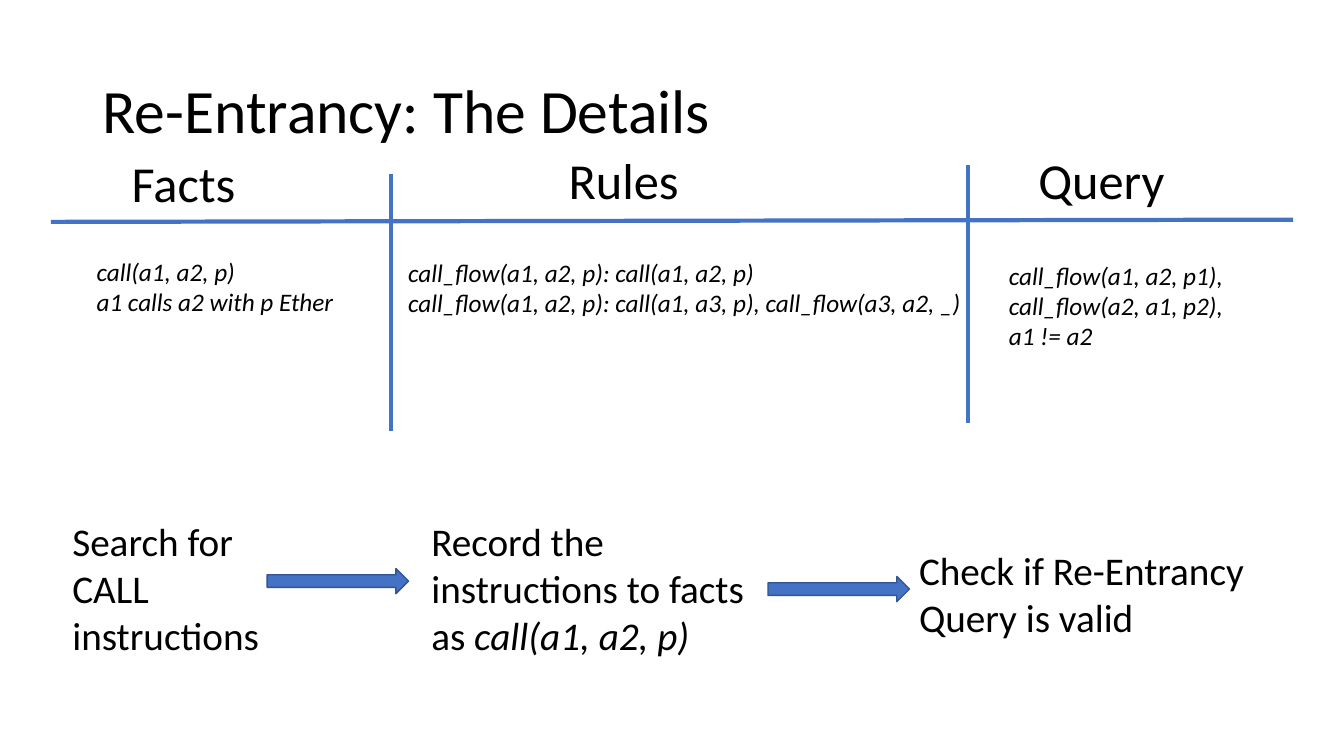
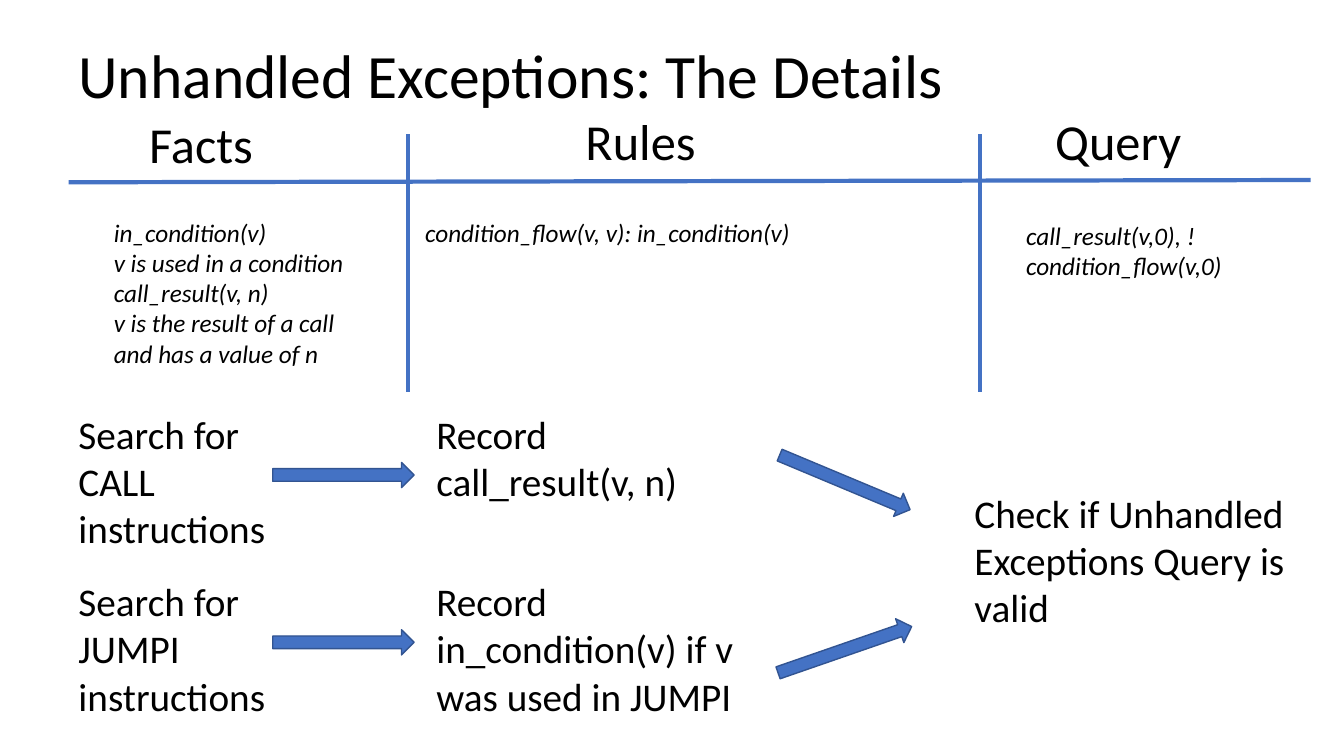
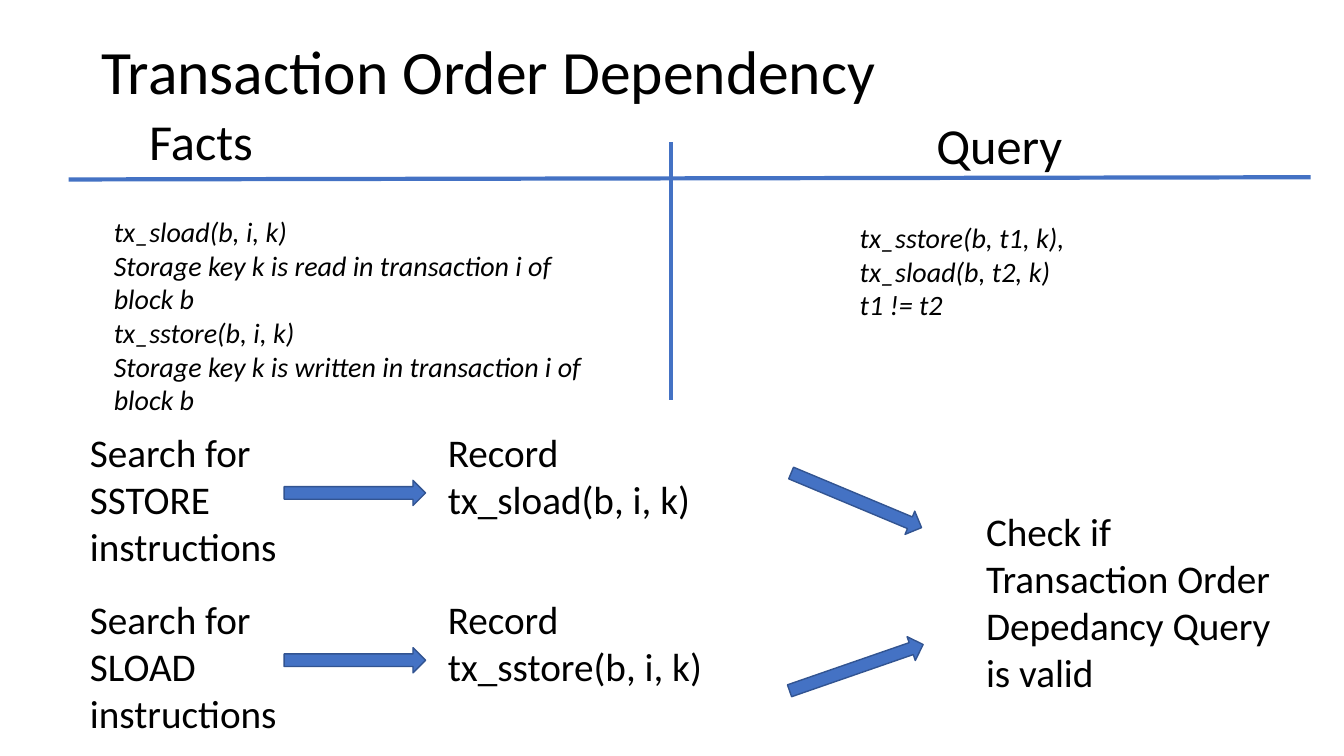
from dataclasses import dataclass

import pptx
import pptx.dml.color
import pptx.enum.shapes
import pptx.enum.text
import pptx.oxml.ns
import pptx.presentation
import pptx.slide
import pptx.text.text
import pptx.util
from lxml import etree

Pt = pptx.util.Pt
BLACK = pptx.dml.color.RGBColor(0x00, 0x00, 0x00)
BLUE = pptx.dml.color.RGBColor(0x44, 0x72, 0xC4)
DARK_BLUE = pptx.dml.color.RGBColor(0x32, 0x54, 0x91)

TEXT_FORMAT = {"name": "Calibri"}
TITLE_WIDTH, TITLE_HEIGHT = 828, 104.4
HEADING_WIDTH, HEADING_HEIGHT = 159, 51
RULE_WIDTH, RULE_RISE = 887.2, 1.6
DIVIDER_HEIGHT = 184
ARROW_WIDTH, ARROW_HEIGHT = 101, 18
STEP_SIZE = 28
SEARCH_WIDTH, RECORD_WIDTH = 184.3, 239
ROW_PITCH = 119.5


@dataclass(frozen=True)
class TextBlock:
    left: float
    top: float
    width: float
    height: float
    paragraphs: tuple[str, ...]
    size: float = STEP_SIZE
    italic: bool = False
    italic_tail: str = ""


@dataclass(frozen=True)
class Arrow:
    left: float
    top: float
    rotation: float = 0


@dataclass(frozen=True)
class Column:
    heading: str
    heading_left: float
    heading_top: float
    body: TextBlock


@dataclass(frozen=True)
class Line:
    left: float
    top: float
    right: float
    bottom: float


@dataclass(frozen=True)
class DetailSlide:
    title: str
    title_left: float
    title_top: float
    rule_left: float
    rule_top: float
    dividers: tuple[tuple[float, float], ...]
    columns: tuple[Column, ...]
    steps: tuple[TextBlock, ...]
    arrows: tuple[Arrow, ...]


def add_run(paragraph: pptx.text.text._Paragraph, text: str, size: float, italic: bool) -> None:
    run = paragraph.add_run()
    run.text = text
    for name, value in {**TEXT_FORMAT, "size": Pt(size), "italic": italic}.items():
        setattr(run.font, name, value)
    run.font.color.rgb = BLACK


def add_text(slide: pptx.slide.Slide, block: TextBlock) -> pptx.text.text.TextFrame:
    shape = slide.shapes.add_textbox(
        Pt(block.left), Pt(block.top), Pt(block.width), Pt(block.height)
    )
    frame = shape.text_frame
    frame.word_wrap = True
    for index, text in enumerate(block.paragraphs):
        paragraph = frame.add_paragraph() if index else frame.paragraphs[0]
        add_run(paragraph, text, block.size, block.italic)
    if block.italic_tail:
        add_run(frame.paragraphs[-1], block.italic_tail, block.size, True)
    return frame


def add_title(slide: pptx.slide.Slide, detail: DetailSlide) -> None:
    frame = add_text(slide, TextBlock(
        detail.title_left, detail.title_top, TITLE_WIDTH, TITLE_HEIGHT, (detail.title,), 44
    ))
    frame.vertical_anchor = pptx.enum.text.MSO_ANCHOR.MIDDLE
    frame.paragraphs[0].line_spacing = 0.9


def add_line(slide: pptx.slide.Slide, line: Line) -> None:
    connector = slide.shapes.add_connector(
        pptx.enum.shapes.MSO_CONNECTOR.STRAIGHT,
        Pt(line.left), Pt(line.top), Pt(line.right), Pt(line.bottom),
    )
    connector.line.color.rgb = BLUE
    connector.line.width = Pt(3)
    etree.SubElement(connector._element.spPr, pptx.oxml.ns.qn("a:effectLst"))


def add_arrow(slide: pptx.slide.Slide, arrow: Arrow) -> None:
    shape = slide.shapes.add_shape(
        pptx.enum.shapes.MSO_SHAPE.RIGHT_ARROW,
        Pt(arrow.left), Pt(arrow.top), Pt(ARROW_WIDTH), Pt(ARROW_HEIGHT),
    )
    shape.rotation = arrow.rotation
    shape.shadow.inherit = False
    shape.fill.solid()
    shape.fill.fore_color.rgb = BLUE
    shape.line.color.rgb = DARK_BLUE
    shape.line.width = Pt(1)


def merging_steps(
    left: float, top: float, searches: tuple[str, str],
    records: tuple[tuple[str, ...], tuple[str, ...]], check: str,
) -> tuple[TextBlock, ...]:
    steps = []
    for row, (search, record) in enumerate(zip(searches, records)):
        row_top = top + row * ROW_PITCH
        steps.append(TextBlock(left, row_top, SEARCH_WIDTH, 109, (search,)))
        steps.append(TextBlock(left + 255.6, row_top, RECORD_WIDTH, 109, record))
    steps.append(TextBlock(left + 640, top + 56.5, RECORD_WIDTH, 109, (check,)))
    return tuple(steps)


def merging_arrows(left: float, top: float) -> tuple[Arrow, ...]:
    arrows = []
    for row, rotation in enumerate((22.7, 340.9)):
        row_top = top + row * ROW_PITCH
        arrows.append(Arrow(left + 145.8, row_top + 40.7))
        arrows.append(Arrow(left + 504, row_top + 46, rotation))
    return tuple(arrows)


def add_detail_slide(
    presentation: pptx.presentation.Presentation, detail: DetailSlide
) -> None:
    slide = presentation.slides.add_slide(presentation.slide_layouts[6])
    add_title(slide, detail)
    add_line(slide, Line(
        detail.rule_left, detail.rule_top,
        detail.rule_left + RULE_WIDTH, detail.rule_top - RULE_RISE,
    ))
    for left, top in detail.dividers:
        add_line(slide, Line(left, top, left, top + DIVIDER_HEIGHT))
    for column in detail.columns:
        add_text(slide, TextBlock(
            column.heading_left, column.heading_top, HEADING_WIDTH, HEADING_HEIGHT,
            (column.heading,), 36,
        ))
        add_text(slide, column.body)
    for step in detail.steps:
        add_text(slide, step)
    for arrow in detail.arrows:
        add_arrow(slide, arrow)


RE_ENTRANCY = DetailSlide(
    "Re-Entrancy: The Details", 66.2, 28.8, 36.4, 158.5,
    ((279.4, 124), (691.2, 118)),
    (
        Column("Facts", 87, 105.1, TextBlock(
            61.9, 179.7, 195.8, 51, ("call(a1, a2, p)", "a1 calls a2 with p Ether"), 18, True,
        )),
        Column("Rules", 399, 103, TextBlock(
            284.4, 180.2, 412.6, 51,
            (
                "call_flow(a1, a2, p): call(a1, a2, p)",
                "call_flow(a1, a2, p): call(a1, a3, p), call_flow(a3, a2, _)",
            ), 18, True,
        )),
        Column("Query", 734.6, 103, TextBlock(
            713.5, 182.2, 202.3, 72.7,
            ("call_flow(a1, a2, p1),", "call_flow(a2, a1, p2),", "a1 != a2"), 18, True,
        )),
    ),
    (
        TextBlock(44.6, 365.8, SEARCH_WIDTH, 109, ("Search for CALL instructions",)),
        TextBlock(
            301, 365.8, RECORD_WIDTH, 109, ("Record the instructions to facts as ",),
            italic_tail="call(a1, a2, p)",
        ),
        TextBlock(649.4, 386.8, 284.4, 75, ("Check if Re-Entrancy Query is valid",)),
    ),
    (Arrow(190.8, 406.1), Arrow(548.6, 411.8)),
)

UNHANDLED_EXCEPTIONS = DetailSlide(
    "Unhandled Exceptions: The Details", 49, 3.6, 49, 130.2,
    ((291.6, 95.8), (699.8, 95.8)),
    (
        Column("Facts", 99.4, 77, TextBlock(
            74.2, 151.4, 195.8, 116.6,
            (
                "in_condition(v)", "v is used in a condition", "call_result(v, n)",
                "v is the result of a call and has a value of n",
            ), 18, True,
        )),
        Column("Rules", 411.1, 75, TextBlock(
            296.6, 151.7, 412.6, 29, ("condition_flow(v, v): in_condition(v)",), 18, True,
        )),
        Column("Query", 746.6, 75, TextBlock(
            725.8, 153.9, 202.3, 51, ("call_result(v,0), !condition_flow(v,0)",), 18, True,
        )),
    ),
    merging_steps(
        49, 289.6,
        ("Search for CALL instructions", "Search for JUMPI instructions"),
        (("Record call_result(v, n)",), ("Record in_condition(v) if v was used in JUMPI",)),
        "Check if Unhandled Exceptions Query is valid",
    ),
    merging_arrows(49, 289.6),
)

TRANSACTION_ORDER = DetailSlide(
    "Transaction Order Dependency", 65.5, 0.8, 49, 128.2,
    ((479.5, 101.5),),
    (
        Column("Facts", 99.4, 75, TextBlock(
            74.2, 149.8, 370, 152.6,
            (
                "tx_sload(b, i, k)", "Storage key k is read in transaction i of block b",
                "tx_sstore(b, i, k)", "Storage key k is written in transaction i of block b",
            ), 20, True,
        )),
        Column("Query", 661.7, 77.8, TextBlock(
            607, 154.1, 202.3, 80, ("tx_sstore(b, t1, k),", "tx_sload(b, t2, k)", "t1 != t2"),
            20, True,
        )),
    ),
    merging_steps(
        57.2, 302.4,
        ("Search for SSTORE instructions", "Search for SLOAD instructions"),
        (("Record", "tx_sload(b, i, k)"), ("Record", "tx_sstore(b, i, k)")),
        "Check if Transaction Order Depedancy Query is valid",
    ),
    merging_arrows(57.2, 302.4),
)


def main() -> None:
    presentation = pptx.Presentation()
    presentation.slide_width = Pt(960)
    presentation.slide_height = Pt(540)
    for detail in (RE_ENTRANCY, UNHANDLED_EXCEPTIONS, TRANSACTION_ORDER):
        add_detail_slide(presentation, detail)
    presentation.save("out.pptx")


if __name__ == "__main__":
    main()
